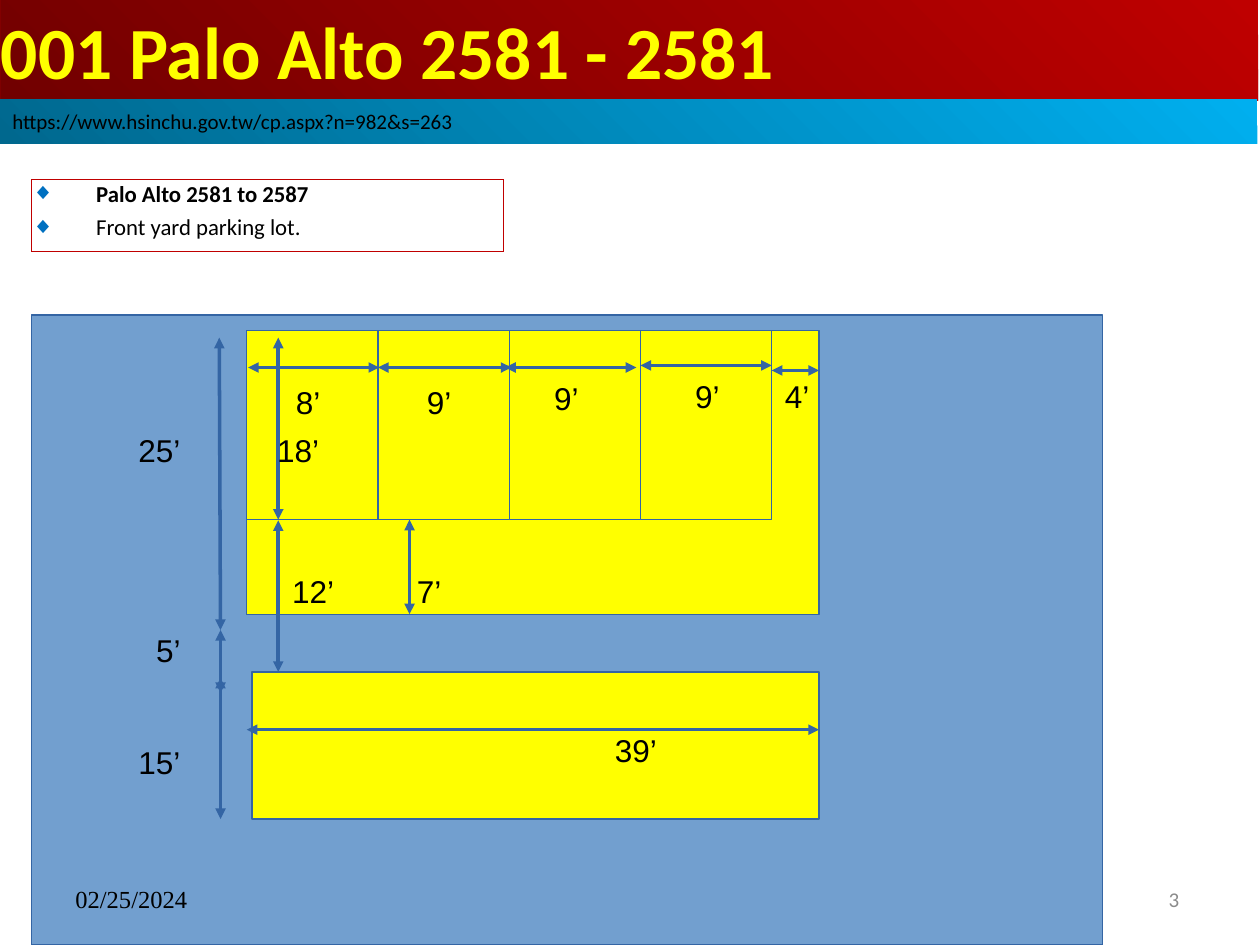
from lxml.etree import SubElement
from pptx import Presentation
from pptx.dml.color import RGBColor
from pptx.enum.shapes import MSO_CONNECTOR, MSO_SHAPE
from pptx.enum.text import MSO_ANCHOR, MSO_AUTO_SIZE, PP_ALIGN
from pptx.oxml.ns import qn
from pptx.util import Pt

COLORS = {
    "title": "FFFF00", "red": "BF0000", "dark red": "710000",
    "cyan": "00AFEF", "dark cyan": "00688E", "border": "C00000",
    "bullet": "0070C0", "text": "000000", "number": "8B8B8B",
    "ground": "729FCF", "paving": "FFFF00", "outline": "3465A4",
}
COLORS = {name: RGBColor.from_string(value) for name, value in COLORS.items()}


def place(shape, left, top, width, height):
    for name, value in dict(left=left, top=top, width=width, height=height).items():
        setattr(shape, name, Pt(value))


def write(shape, lines, size, font, color="text", bold=False, margins=(7.2, 3.6),
          anchor=MSO_ANCHOR.TOP, align=PP_ALIGN.LEFT):
    """Fill the shape with one paragraph per line, all in one format."""
    frame = shape.text_frame
    frame.text = "\n".join(lines)
    side, end = map(Pt, margins)
    settings = dict(word_wrap=True, auto_size=MSO_AUTO_SIZE.NONE, vertical_anchor=anchor,
                    margin_left=side, margin_right=side, margin_top=end, margin_bottom=end)
    for name, value in settings.items():
        setattr(frame, name, value)
    for para in frame.paragraphs:
        para.alignment = align
        span = para.runs[0]
        for name, value in dict(name=font, size=Pt(size), bold=bold).items():
            setattr(span.font, name, value)
        span.font.color.rgb = COLORS[color]


deck = Presentation()
deck.slide_width, deck.slide_height = Pt(720), Pt(540)
page = deck.slides.add_slide(deck.slide_layouts[1])
shapes = page.shapes

# Title, list and address bar
title = shapes.title
place(title, 0.5, 0, 718.5, 57.5)
write(title, ["001 Palo Alto 2581 - 2581"], 42, "Calibri", "title", True, (0, 0),
      MSO_ANCHOR.MIDDLE)

body = page.placeholders[1]
place(body, 18, 102.5, 270, 41.5)
body.line.color.rgb = COLORS["border"]
body.line.width = Pt(0)
write(body, ["Palo Alto 2581 to 2587", "Front yard parking lot."], 13, "Calibri",
      margins=(0, 0))
body.text_frame.paragraphs[0].runs[0].font.bold = True
for para in body.text_frame.paragraphs:
    para.space_before = Pt(3.6)
    properties = para._p.get_or_add_pPr()
    properties.set("marL", str(Pt(37)))
    properties.set("indent", str(Pt(-37)))
    bullet_color = SubElement(properties, qn("a:buClr"))
    SubElement(bullet_color, qn("a:srgbClr"), val=str(COLORS["bullet"]))
    SubElement(properties, qn("a:buFont"), typeface="Arial")
    SubElement(properties, qn("a:buChar"), char="◆")

bar = shapes.add_shape(MSO_SHAPE.RECTANGLE, Pt(0), Pt(56.7), Pt(718.5), Pt(25.5))
bar.shadow.inherit = False
bar.line.fill.background()
write(bar, ["https://www.hsinchu.gov.tw/cp.aspx?n=982&s=263"], 12, "Calibri",
      anchor=MSO_ANCHOR.MIDDLE)

for shape, names in ((title, ("red", "dark red")), (bar, ("cyan", "dark cyan"))):
    shape.fill.gradient()
    shape.fill.gradient_angle = 225
    for stop, position, name in zip(shape.fill.gradient_stops, (0, 1), names):
        stop.position = position
        stop.color.rgb = COLORS[name]

# Ground, two paved areas and the row of parking stalls
STALL_LEFT, STALL_TOP, STALL_WIDTH, STALL_HEIGHT = 141, 189, 75, 108
areas = [
    ("ground", 18, 180, 612, 360),
    ("paving", STALL_LEFT, STALL_TOP, 327, 162),
    ("paving", 144, 384, 324, 84),
]
areas += [("paving", STALL_LEFT + i * STALL_WIDTH, STALL_TOP, STALL_WIDTH, STALL_HEIGHT)
          for i in range(4)]
for color, *bounds in areas:
    area = shapes.add_shape(MSO_SHAPE.RECTANGLE, *map(Pt, bounds))
    area.shadow.inherit = False
    area.fill.solid()
    area.fill.fore_color.rgb = COLORS[color]
    area.line.color.rgb = COLORS["outline"]
    area.line.width = Pt(0)

# Each dimension: label, label left and top, arrow start, arrow end
dimensions = [
    ("25’", 72, 242.6, (125.3, 193), (126, 360)),
    ("18’", 151.2, 242.6, (159, 193), (159, 297)),
    ("15’", 72, 421.2, (126, 387.4), (126, 468)),
    ("5’", 82.1, 357.1, (126, 360), (126, 396)),
    ("12’", 159.8, 323.3, (159, 297.4), (159, 384)),
    ("39’", 344.2, 414, (141, 417), (468, 417)),
    ("8’", 162, 215.3, (141.8, 210), (216.7, 210)),
    ("9’", 236.9, 215.3, (216, 210), (292.3, 210)),
    ("9’", 309.6, 213.1, (288.7, 210), (363.6, 210)),
    ("9’", 390.2, 211.7, (366, 208.8), (441, 208.8)),
    ("4’", 441.4, 211.7, (441, 211.7), (468, 211.7)),
    ("7’", 231.1, 323.3, (234, 297), (234, 351)),
]
for label, left, top, start, end in dimensions:
    arrow = shapes.add_connector(MSO_CONNECTOR.STRAIGHT, *map(Pt, start + end))
    arrow.line.color.rgb = COLORS["outline"]
    arrow.line.width = Pt(0)
    line = arrow.line._get_or_add_ln()
    for tag in ("a:headEnd", "a:tailEnd"):
        SubElement(line, qn(tag), type="triangle")
    SubElement(arrow._element.spPr, qn("a:effectLst"))
    box = shapes.add_textbox(Pt(left), Pt(top), Pt(54), Pt(27))
    write(box, [label], 18, "Arial")

# Date and page number
footers = [
    ("02/25/2024", 36, 14, "Times New Roman", "text", PP_ALIGN.LEFT),
    ("3", 516, 12, "Calibri", "number", PP_ALIGN.RIGHT),
]
for text, left, size, font, color, align in footers:
    box = shapes.add_textbox(Pt(left), Pt(500.5), Pt(165), Pt(26))
    write(box, [text], size, font, color, anchor=MSO_ANCHOR.MIDDLE, align=align)

deck.save("out.pptx")
